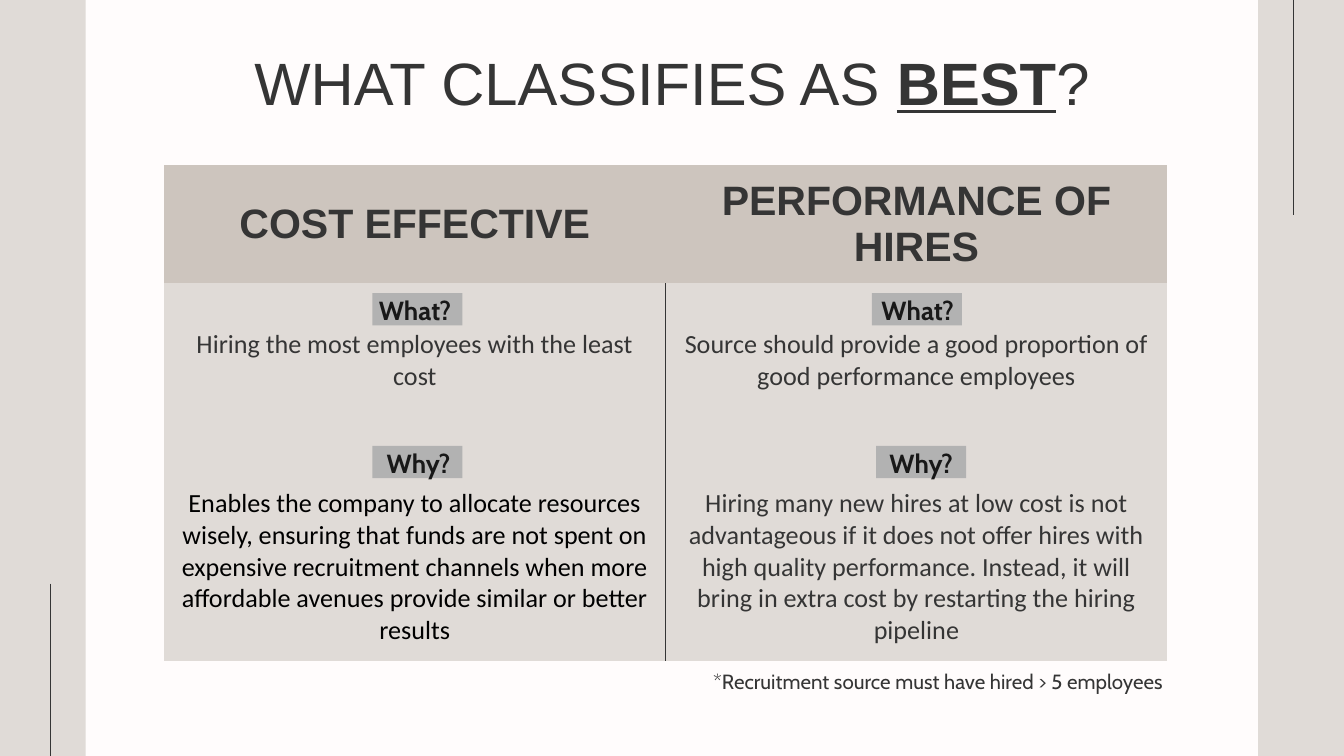
from lxml.etree import SubElement
from pptx import Presentation
from pptx.dml.color import RGBColor
from pptx.enum.shapes import MSO_CONNECTOR as Link, MSO_SHAPE as Shape
from pptx.enum.text import MSO_ANCHOR as Anchor, MSO_AUTO_SIZE as Fit, PP_ALIGN as Align
from pptx.oxml import parse_xml
from pptx.oxml.ns import nsdecls, qn
from pptx.util import Cm, Pt

PAPER = RGBColor(0xFF, 0xFC, 0xFC)
SAND = RGBColor(0xE0, 0xDB, 0xD7)
CLAY = RGBColor(0xCD, 0xC5, 0xBE)
GREY = RGBColor(0xB2, 0xB2, 0xB2)
INK = RGBColor(0x35, 0x35, 0x35)
DARK = RGBColor(0x18, 0x18, 0x18)
BLACK = RGBColor(0, 0, 0)

WIDE, HIGH = 25.4, 14.29
INSET = Cm(0.25)
PLAIN = "{2D5ABB26-0587-4C30-8999-92F81FD0307C}"  # table style without lines

HEADS = ["COST EFFECTIVE", "PERFORMANCE OF HIRES"]
WHAT = [
    "Hiring the most employees with the least cost",
    "Source should provide a good proportion of good performance employees",
]
WHY = [
    "Enables the company to allocate resources wisely, ensuring that funds are "
    "not spent on expensive recruitment channels when more affordable avenues "
    "provide similar or better results",
    "Hiring many new hires at low cost is not advantageous if it does not offer "
    "hires with high quality performance. Instead, it will bring in extra cost "
    "by restarting the hiring pipeline",
]
# Tag text, its left edge, the left edge of its bar, the top of its bar
TAGS = [
    ("What?", 6.91, 7.04, 5.54),
    ("Why?", 7.06, 7.04, 8.43),
    ("What?", 16.41, 16.48, 5.54),
    ("Why?", 16.56, 16.56, 8.43),
]


def write(para, text, font="Arial", size=14, color=INK, bold=False, line=False, align=None):
    """Add a run of formatted text to a paragraph."""
    run = para.add_run()
    run.text = text
    face = run.font
    face.name, face.size, face.bold, face.underline = font, Pt(size), bold, line
    face.color.rgb = color
    if align is not None:
        para.alignment = align


def frame(holder, anchor):
    """Set the insets, wrap and anchor of a text frame."""
    text = holder.text_frame
    text.margin_left = text.margin_right = INSET
    text.margin_top = text.margin_bottom = INSET
    text.word_wrap, text.auto_size = True, Fit.NONE
    text.vertical_anchor = anchor
    return text.paragraphs[0]


def bar(slide, x, y, w, h, color):
    box = slide.shapes.add_shape(Shape.RECTANGLE, Cm(x), Cm(y), Cm(w), Cm(h))
    box.shadow.inherit = False
    box.fill.solid()
    box.fill.fore_color.rgb = color
    box.line.fill.background()


def rule(slide, x, top, end):
    line = slide.shapes.add_connector(Link.STRAIGHT, Cm(x), Cm(top), Cm(x), Cm(end))
    line.line.color.rgb = INK
    line.line.width = Pt(0.75)
    SubElement(line._element.spPr, qn("a:effectLst"))


def label(slide, x, y, w, h, text, **style):
    box = slide.shapes.add_textbox(Cm(x), Cm(y), Cm(w), Cm(h))
    write(frame(box, Anchor.MIDDLE), text, font="Cabin", **style)


def edge(cell, side):
    """Draw a one-point border on one side of a cell."""
    cell._tc.get_or_add_tcPr().insert(0, parse_xml(
        f'<a:{side} {nsdecls("a")} w="12700"><a:solidFill>'
        f'<a:srgbClr val="{INK}"/></a:solidFill></a:{side}>'))


def paint(cell, color, anchor, top=INSET):
    cell.fill.solid()
    cell.fill.fore_color.rgb = color
    cell.vertical_anchor = anchor
    cell.margin_left = cell.margin_right = cell.margin_bottom = INSET
    cell.margin_top = top
    return cell.text_frame


def grid(slide):
    """Compare the two criteria, one per column."""
    part = slide.shapes.add_table(2, 2, Cm(3.1), Cm(3.12), Cm(18.96), Cm(9.36))
    table = part.table
    table.first_row = table.horz_banding = False
    table._tbl.tblPr.find(qn("a:tableStyleId")).text = PLAIN
    for row, high in zip(table.rows, (2.23, 7.13)):
        row.height = Cm(high)
    for i, (head, what, why) in enumerate(zip(HEADS, WHAT, WHY)):
        text = paint(table.cell(0, i), CLAY, Anchor.MIDDLE)
        write(text.paragraphs[0], head, size=22, bold=True, align=Align.CENTER)

        # The top margin and the gap leave room for the tags
        cell = table.cell(1, i)
        text = paint(cell, SAND, Anchor.TOP, Cm(0.86))
        write(text.paragraphs[0], what, font="Calibri", align=Align.CENTER)
        para = text.add_paragraph()
        para.space_before = Pt(51)
        write(para, why, font="Calibri", color=INK if i else BLACK, align=Align.CENTER)
        edge(cell, "lnL" if i else "lnR")


def title(slide):
    head = slide.shapes.title
    head.left, head.top, head.width, head.height = Cm(1.98), Cm(0.61), Cm(21.44), Cm(1.6)
    para = frame(head, Anchor.TOP)
    write(para, "WHAT CLASSIFIES AS ", size=32, align=Align.CENTER)
    write(para, "BEST", size=32, bold=True, line=True)
    write(para, "?", size=32)


def main():
    deck = Presentation()
    deck.slide_width, deck.slide_height = Cm(WIDE), Cm(HIGH)
    slide = deck.slides.add_slide(deck.slide_layouts[5])
    slide.background.fill.solid()
    slide.background.fill.fore_color.rgb = PAPER

    # Side bands and thin rules
    side = 1.62
    for x in (WIDE - side, 0):
        bar(slide, x, 0, side, HIGH, SAND)
    rule(slide, 0.95, 11.03, HIGH)
    rule(slide, 24.44, 0, 4.06)

    # Title, table and footnote
    title(slide)
    grid(slide)
    label(slide, 13.23, 12.37, 9.58, 1.02,
          "*Recruitment source must have hired > 5 employees", size=11)

    # Tags over the table
    for text, left, x, y in TAGS:
        bar(slide, x, y, 1.7, 0.61, GREY)
        label(slide, left, y - 0.55, 2.01, 1.73, text, color=DARK, bold=True)

    deck.save("out.pptx")


if __name__ == "__main__":
    main()
